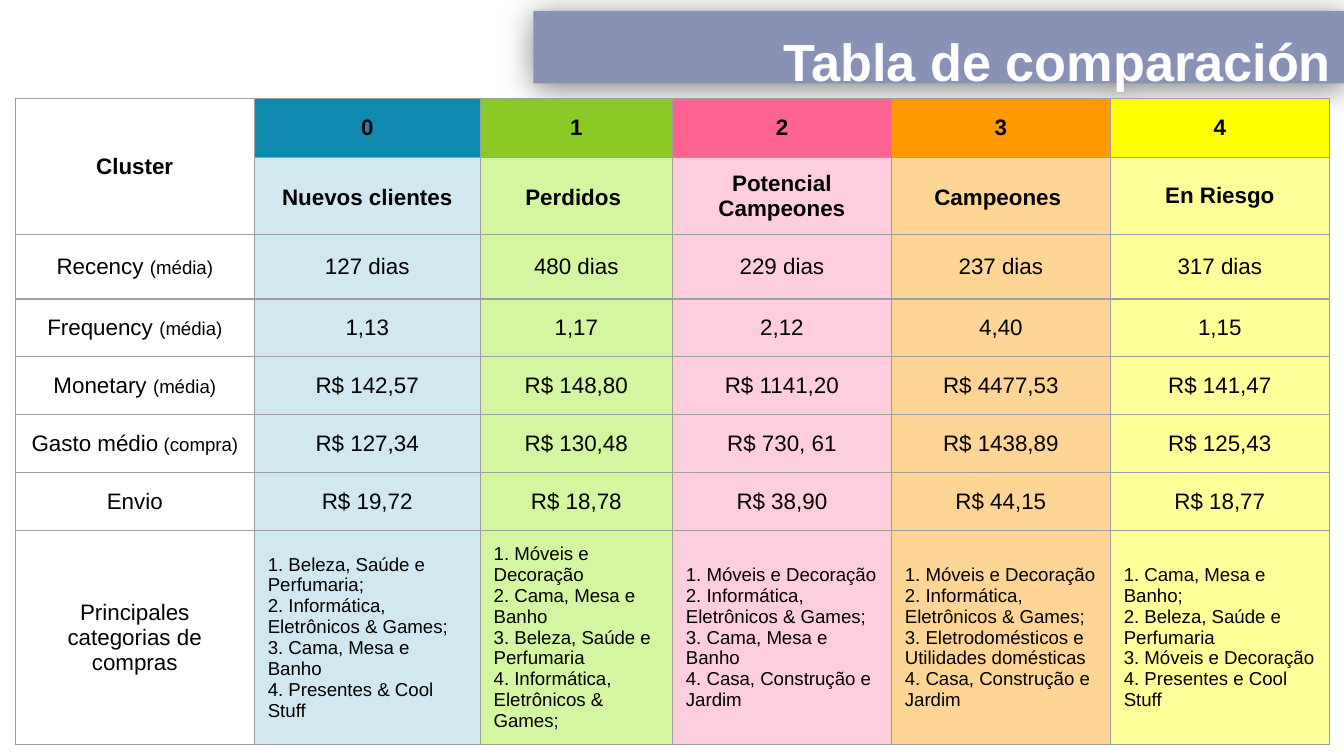
"""Build a slide that compares five customer clusters in a table."""
from lxml.etree import SubElement
from pptx import Presentation
from pptx.dml.color import RGBColor
from pptx.enum.shapes import MSO_SHAPE as Shape
from pptx.enum.text import MSO_ANCHOR as Anchor, PP_ALIGN as Align
from pptx.oxml import parse_xml
from pptx.oxml.ns import nsdecls, qn
from pptx.util import Pt

COLUMN_WIDTHS = [128.2, 121, 103, 117.3, 117.3, 117.3]
ROW_HEIGHTS = [31.7, 37.4, 34.6, 31, 31, 31, 31, 92.9]
LABELS = [
    ("Recency ", "(média)"),
    ("Frequency ", "(média)"),
    ("Monetary ", "(média)"),
    ("Gasto médio", " (compra)"),
    ("Envio",),
    ("Principales categorias de compras",),
]
# Header colour, body colour, body opacity, name, name line spacing, values, categories
CLUSTERS = [
    ("118AB2", "118AB2", 19, "Nuevos clientes", 1.15,
     ["127 dias", "1,13", "R$ 142,57", "R$ 127,34", "R$ 19,72"],
     ["1. Beleza, Saúde e Perfumaria;", "2. Informática, Eletrônicos & Games;",
      "3. Cama, Mesa e Banho", "4. Presentes & Cool Stuff"]),
    ("8AC926", "C3F377", 69, "Perdidos ", 1.15,
     ["480 dias", "1,17", "R$ 148,80", "R$ 130,48", "R$ 18,78"],
     ["1. Móveis e Decoração", "2. Cama, Mesa e Banho",
      "3. Beleza, Saúde e Perfumaria", "4. Informática, Eletrônicos & Games;"]),
    ("FF6392", "FF6392", 31, "Potencial Campeones", 1,
     ["229 dias", "2,12", "R$ 1141,20", "R$ 730, 61", "R$ 38,90"],
     ["1. Móveis e Decoração", "2. Informática, Eletrônicos & Games;",
      "3. Cama, Mesa e Banho", "4. Casa, Construção e Jardim"]),
    ("FF9900", "FF9900", 41, "Campeones ", 1.15,
     ["237 dias", "4,40", "R$ 4477,53", "R$ 1438,89", "R$ 44,15"],
     ["1. Móveis e Decoração", "2. Informática, Eletrônicos & Games;",
      "3. Eletrodomésticos e Utilidades domésticas", "4. Casa, Construção e Jardim"]),
    ("FFFF00", "FFFF00", 40, "En Riesgo", 1,
     ["317 dias", "1,15", "R$ 141,47", "R$ 125,43", "R$ 18,77"],
     ["1. Cama, Mesa e Banho;", "2. Beleza, Saúde e Perfumaria",
      "3. Móveis e Decoração", "4. Presentes e Cool Stuff"]),
]


def rgb(value):
    return RGBColor.from_string(value)


class SlideBuilder:
    font_name = "Arial"
    text_color = "000000"
    border_color = "9E9E9E"
    border_width = Pt(0.75)
    inset = Pt(7.2)

    def __init__(self, slide):
        self.slide = slide

    def style(self, paragraph, size, color, bold, align):
        paragraph.alignment = align
        font = paragraph.font
        font.name, font.size, font.bold = self.font_name, Pt(size), bold
        font.color.rgb = rgb(color)

    def title(self, text, left, top, width, height):
        shape = self.slide.shapes.add_shape(
            Shape.RECTANGLE, Pt(left), Pt(top), Pt(width), Pt(height))
        shape.fill.solid()
        shape.fill.fore_color.rgb = rgb("8991B7")
        shape.line.fill.background()
        shape.shadow.inherit = False
        effects = shape.element.spPr.find(qn("a:effectLst"))
        effects.append(parse_xml(
            f'<a:outerShdw {nsdecls("a")} blurRad="{Pt(16.9)}" dist="{Pt(2.2)}" '
            'dir="5400000" algn="bl" rotWithShape="0"><a:srgbClr val="000000">'
            '<a:alpha val="50000"/></a:srgbClr></a:outerShdw>'))
        frame = shape.text_frame
        frame.word_wrap = True
        frame.vertical_anchor = Anchor.TOP
        frame.margin_left = frame.margin_right = frame.margin_bottom = self.inset
        frame.margin_top = Pt(10)
        paragraph = frame.paragraphs[0]
        paragraph.text = text
        self.style(paragraph, 28, "FFFFFF", True, Align.RIGHT)

    def table(self, left, top, widths, heights):
        table = self.slide.shapes.add_table(
            len(heights), len(widths), Pt(left), Pt(top),
            Pt(sum(widths)), Pt(sum(heights))).table
        table.first_row = table.horz_banding = False
        for column, width in zip(table.columns, widths):
            column.width = Pt(width)
        for row, height in zip(table.rows, heights):
            row.height = Pt(height)
        for cell in table.iter_cells():
            cell.fill.background()
            self.borders(cell)
        return table

    def borders(self, cell):
        properties = cell._tc.get_or_add_tcPr()
        for index, side in enumerate(("lnL", "lnR", "lnT", "lnB")):
            properties.insert(index, parse_xml(
                f'<a:{side} {nsdecls("a")} w="{self.border_width}"><a:solidFill>'
                f'<a:srgbClr val="{self.border_color}"/></a:solidFill></a:{side}>'))

    def cell(self, cell, lines, fill=None, opacity=100, size=12, bold=False,
             align=Align.CENTER, spacing=1):
        cell.vertical_anchor = Anchor.MIDDLE
        cell.margin_left = cell.margin_right = self.inset
        cell.margin_top = cell.margin_bottom = self.inset
        if fill:
            cell.fill.solid()
            cell.fill.fore_color.rgb = rgb(fill)
            if opacity < 100:
                color = cell._tc.tcPr.find(qn("a:solidFill")).find(qn("a:srgbClr"))
                SubElement(color, qn("a:alpha")).set("val", str(opacity * 1000))
        frame = cell.text_frame
        frame.text = "\n".join(lines)
        for paragraph in frame.paragraphs:
            self.style(paragraph, size, self.text_color, bold, align)
            paragraph.line_spacing = spacing

    def label(self, cell, name, note=""):
        self.cell(cell, [name])
        if note:
            run = cell.text_frame.paragraphs[0].add_run()
            run.text = note
            run.font.size = Pt(10)


def main():
    presentation = Presentation()
    presentation.slide_width, presentation.slide_height = Pt(720), Pt(405)
    builder = SlideBuilder(presentation.slides.add_slide(presentation.slide_layouts[6]))
    builder.title("Tabla de comparación", 285.8, 5.8, 434.2, 38.9)

    table = builder.table(8.1, 52.6, COLUMN_WIDTHS, ROW_HEIGHTS)
    table.cell(0, 0).merge(table.cell(1, 0))
    builder.cell(table.cell(0, 0), ["Cluster"], bold=True)
    for row, label in enumerate(LABELS, 2):
        builder.label(table.cell(row, 0), *label)

    for column, cluster in enumerate(CLUSTERS, 1):
        header, body, opacity, name, spacing, values, categories = cluster
        builder.cell(table.cell(0, column), [str(column - 1)], header, bold=True)
        builder.cell(table.cell(1, column), [name], body, opacity,
                     bold=True, spacing=spacing)
        for row, value in enumerate(values, 2):
            builder.cell(table.cell(row, column), [value], body, opacity)
        builder.cell(table.cell(7, column), categories, body, opacity,
                     size=10, align=Align.LEFT)
    presentation.save("out.pptx")


if __name__ == "__main__":
    main()
